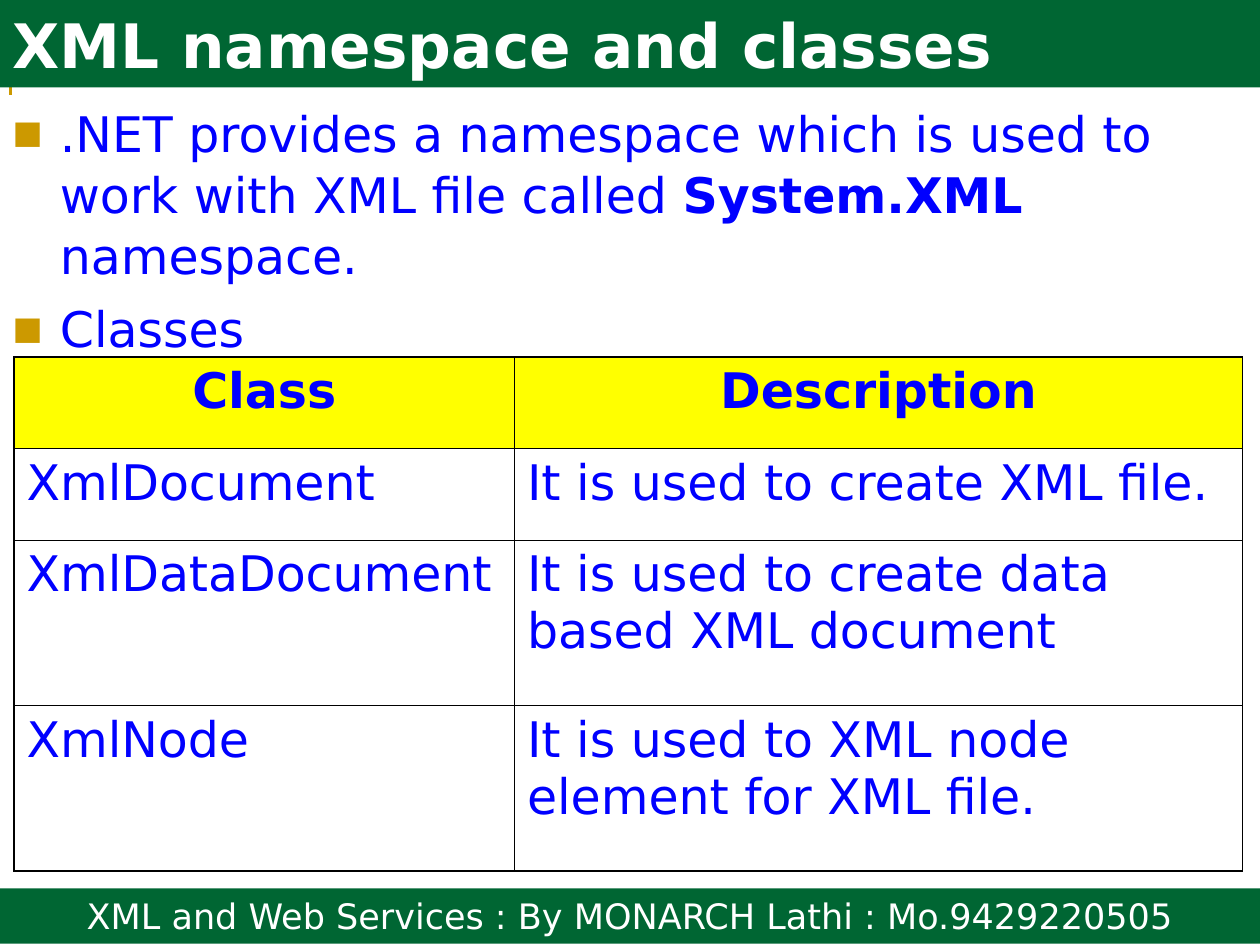
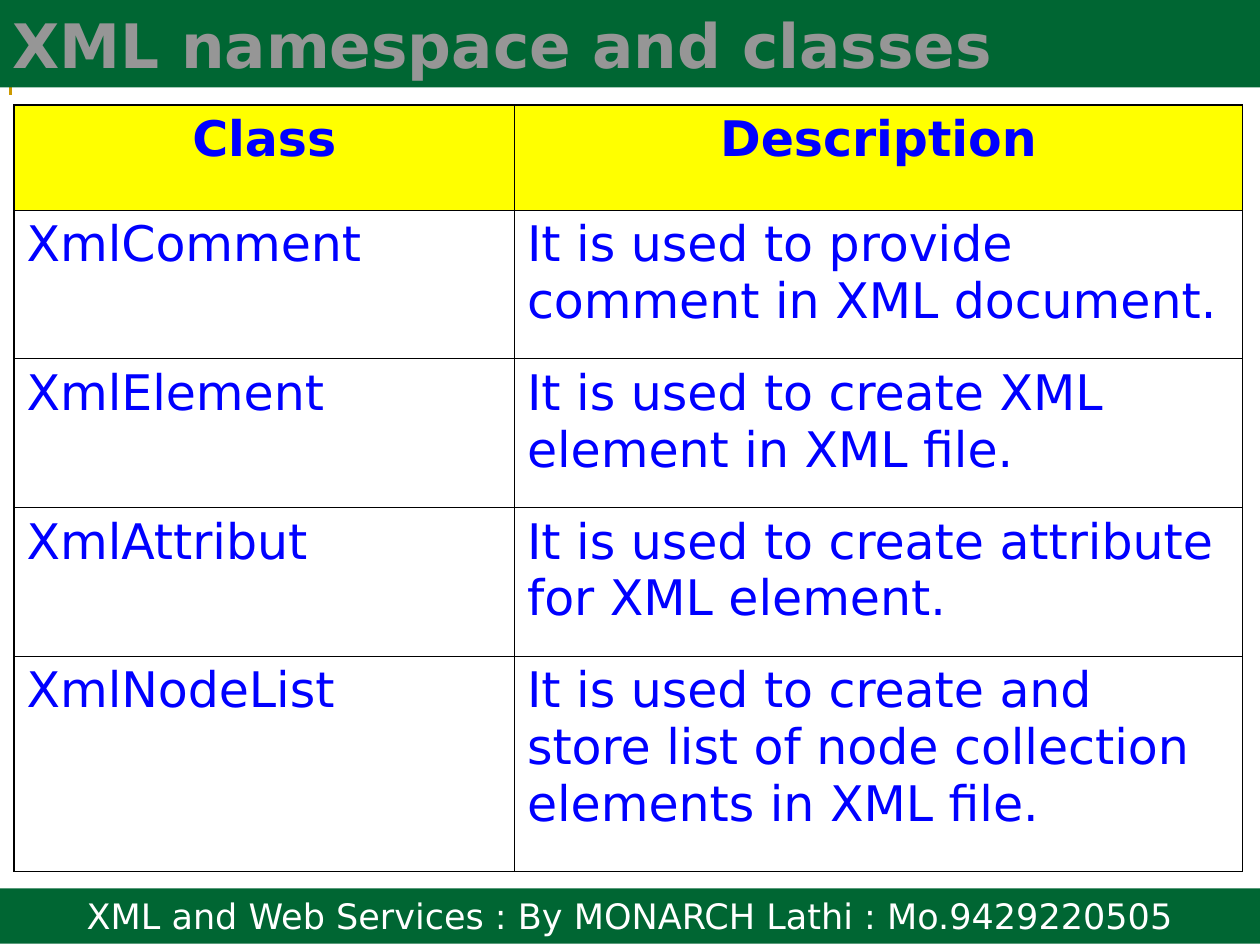
import pptx
import pptx.dml.color
import pptx.enum.shapes
import pptx.enum.text
import pptx.oxml
import pptx.oxml.ns
import pptx.util

Pt = pptx.util.Pt
ALIGN = pptx.enum.text.PP_ALIGN
ANCHOR = pptx.enum.text.MSO_ANCHOR

GREEN, GOLD, BLUE = "006633", "CC9900", "0000FF"
YELLOW, WHITE, GREY, BLACK = "FFFF00", "FFFFFF", "969696", "000000"
FONT = "DejaVu Sans"
WIDTH, HEIGHT = 720, 540
TITLE = "XML namespace and classes"
FOOTER = "XML and Web Services : By MONARCH Lathi : Mo.9429220505"
HEADER = ("Class", "Description")


def rgb(value):
    """Turn a hex string into a colour."""
    return pptx.dml.color.RGBColor.from_string(value)


def apply(obj, **values):
    """Set each named attribute on an object."""
    for name, value in values.items():
        setattr(obj, name, value)


def xml(body):
    """Parse a drawing element written without its namespace."""
    ns = pptx.oxml.ns.nsdecls("a")
    tag, rest = body.split(" ", 1)
    return pptx.oxml.parse_xml(f"{tag} {ns} {rest}")


class Deck:
    """Holds the shared style and the current slide."""

    def __init__(self):
        """Start an empty presentation."""
        self.prs = pptx.Presentation()
        apply(self.prs, slide_width=Pt(WIDTH), slide_height=Pt(HEIGHT))

    def new_slide(self, layout, title_color=WHITE):
        """Add a slide with its footer, corner line and title."""
        self.s = self.prs.slides.add_slide(self.prs.slide_layouts[layout])
        self.footer()
        self.corner_line()
        self.title(title_color)

    def add_text(self, p, text, size, color, bold=False):
        """Add one formatted run to a paragraph."""
        r = p.add_run()
        r.text = text
        apply(r.font, name=FONT, size=Pt(size), bold=bold)
        r.font.color.rgb = rgb(color)

    def place(self, sp, left, top, width, height):
        """Move a placeholder and bring it to the front."""
        apply(sp, left=Pt(left), top=Pt(top), width=Pt(width), height=Pt(height))
        self.s.shapes._spTree.append(sp._element)
        apply(sp.text_frame, word_wrap=True,
              auto_size=pptx.enum.text.MSO_AUTO_SIZE.NONE)

    def footer(self):
        """Draw the green footer band."""
        kind = pptx.enum.shapes.MSO_SHAPE.RECTANGLE
        sp = self.s.shapes.add_shape(kind, 0, Pt(507.6), Pt(WIDTH), Pt(31.7))
        sp.shadow.inherit = False
        sp.fill.solid()
        sp.fill.fore_color.rgb = rgb(GREEN)
        sp.line.fill.background()
        apply(sp.text_frame, word_wrap=True, vertical_anchor=ANCHOR.TOP)
        p = sp.text_frame.paragraphs[0]
        apply(p, alignment=ALIGN.CENTER, space_before=Pt(12.5))
        self.add_text(p, FOOTER, 20, WHITE)

    def corner_line(self):
        """Draw the gold line around the top left corner."""
        outline = self.s.shapes.build_freeform(Pt(6), Pt(54))
        outline.add_line_segments([(Pt(6), Pt(6)), (Pt(708), Pt(6))], close=False)
        sp = outline.convert_to_shape()
        sp.shadow.inherit = False
        sp.fill.background()
        sp.line.color.rgb = rgb(GOLD)
        sp.line.width = Pt(2.24)

    def title(self, color):
        """Fill the title placeholder as a green band."""
        sp = self.s.shapes.title
        self.place(sp, 0, 0, WIDTH, 50)
        sp.fill.solid()
        sp.fill.fore_color.rgb = rgb(GREEN)
        sp.text_frame.vertical_anchor = ANCHOR.MIDDLE
        p = sp.text_frame.paragraphs[0]
        p.alignment = ALIGN.LEFT
        self.add_text(p, TITLE, 35, color, bold=True)

    def bullets(self, items):
        """Fill the body placeholder; an item is a list of (text, bold)."""
        sp = self.s.placeholders[1]
        self.place(sp, 0, 54, WIDTH, 150)
        tf = sp.text_frame
        for i, item in enumerate(items):
            p = tf.add_paragraph() if i else tf.paragraphs[0]
            apply(p, space_before=Pt(7), line_spacing=1.04)
            pPr = p._p.get_or_add_pPr()
            pPr.set("marL", str(Pt(27)))
            pPr.set("indent", str(-Pt(27)))
            for body in (f'<a:buClr ><a:srgbClr val="{GOLD}"/></a:buClr>',
                         '<a:buSzPct val="65000"/>',
                         f'<a:buFont typeface="{FONT}"/>',
                         '<a:buChar char="■"/>'):
                pPr.append(xml(body))
            for text, bold in item:
                self.add_text(p, text, 28, BLUE, bold)

    def borders(self, cell, heavy):
        """Line a cell's four sides, thicker on the heavy ones."""
        tcPr = cell._tc.get_or_add_tcPr()
        for i, side in enumerate("LRTB"):
            width = Pt(1.08 if side in heavy else 0.45)
            tcPr.insert(i, xml(
                f'<a:ln{side} w="{width}"><a:solidFill><a:srgbClr val="{BLACK}"/>'
                f'</a:solidFill></a:ln{side}>'))

    def table(self, top, heights, rows):
        """Draw a class table with a yellow header row."""
        rows = [HEADER] + rows
        widths = (286, 416)
        tbl = self.s.shapes.add_table(
            len(rows), len(widths), Pt(8), Pt(top),
            Pt(sum(widths)), Pt(sum(heights))).table
        apply(tbl, first_row=False, horz_banding=False)
        for column, width in zip(tbl.columns, widths):
            column.width = Pt(width)
        for i, (row, height) in enumerate(zip(rows, heights)):
            tbl.rows[i].height = Pt(height)
            for j, text in enumerate(row):
                cell, head = tbl.cell(i, j), i == 0
                if head:
                    cell.fill.solid()
                    cell.fill.fore_color.rgb = rgb(YELLOW)
                else:
                    cell.fill.background()
                p = cell.text_frame.paragraphs[0]
                apply(p, space_before=Pt(7),
                      alignment=ALIGN.CENTER if head else ALIGN.LEFT)
                self.add_text(p, text, 28, BLUE, bold=head)
                last = i == len(rows) - 1
                self.borders(cell, "LR"[j] + "T" * head + "B" * last)


def main():
    """Build both slides and save them."""
    deck = Deck()

    deck.new_slide(layout=1)
    deck.bullets([
        [(".NET provides a namespace which is used to work with XML file called ", False),
         ("System.XML ", True), ("namespace.", False)],
        [("Classes", False)],
    ])
    deck.table(204, (52.3, 52.3, 94.6, 94.6), [
        ("XmlDocument", "It is used to create XML file."),
        ("XmlDataDocument", "It is used to create data based XML document"),
        ("XmlNode", "It is used to XML node element for XML file."),
    ])

    deck.new_slide(layout=5, title_color=GREY)
    deck.table(60, (60, 85, 85, 85, 123), [
        ("XmlComment", "It is used to provide comment in XML document."),
        ("XmlElement", "It is used to create XML element in XML file."),
        ("XmlAttribut", "It is used to create attribute for XML element."),
        ("XmlNodeList", "It is used to create and store list of node collection "
                        "elements in XML file."),
    ])

    deck.prs.save("out.pptx")


main()
